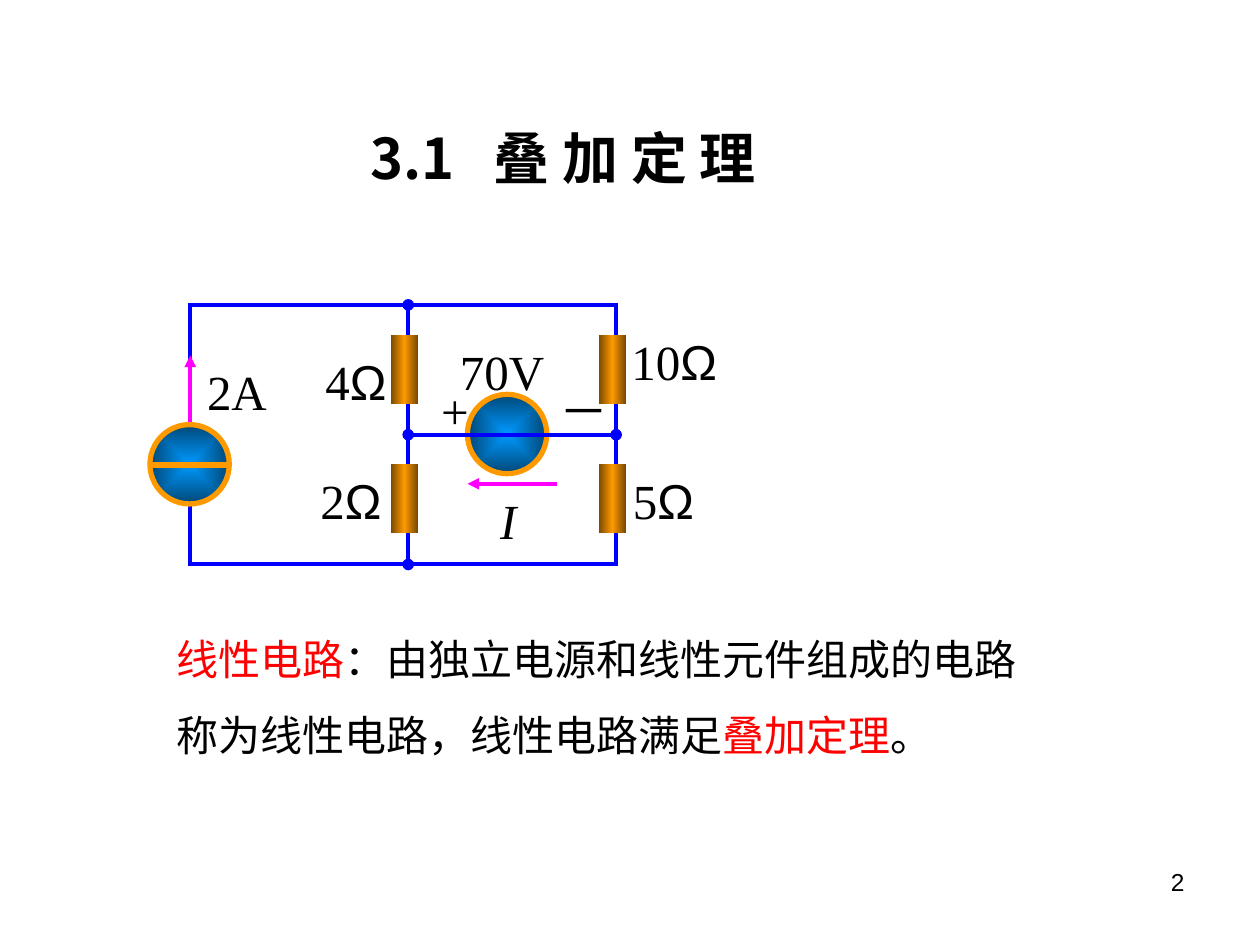
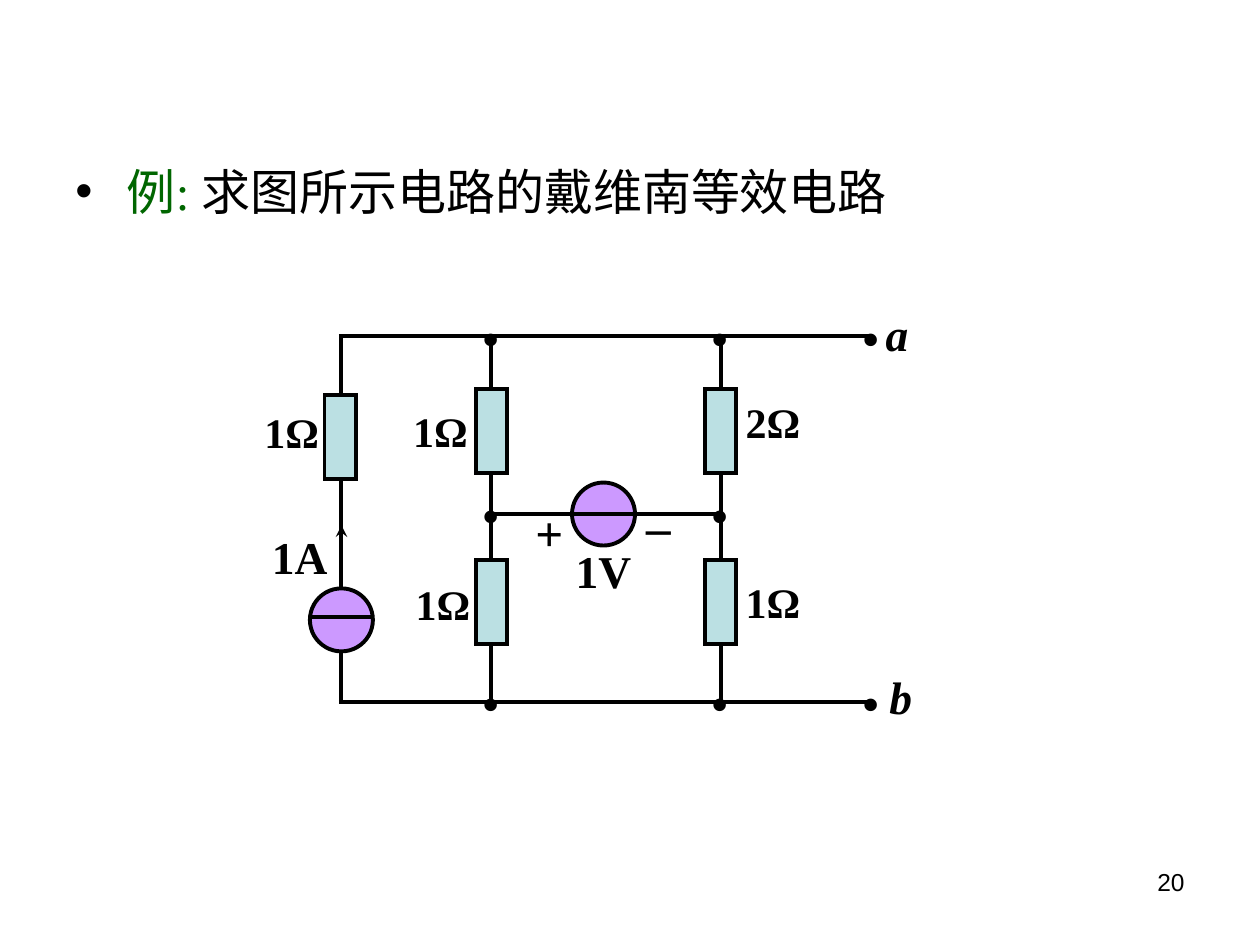
from lxml import etree
from pptx import Presentation
from pptx.dml.color import RGBColor
from pptx.enum.shapes import MSO_CONNECTOR, MSO_SHAPE
from pptx.enum.text import MSO_ANCHOR, MSO_AUTO_SIZE, PP_ALIGN
from pptx.oxml import parse_xml
from pptx.oxml.ns import nsdecls, qn
from pptx.util import Inches, Pt

RECT, OVAL = MSO_SHAPE.RECTANGLE, MSO_SHAPE.OVAL
LEFT, MID, RIGHT = PP_ALIGN.LEFT, PP_ALIGN.CENTER, PP_ALIGN.RIGHT
TOP, CENTRE = MSO_ANCHOR.TOP, MSO_ANCHOR.MIDDLE
GROW = MSO_AUTO_SIZE.SHAPE_TO_FIT_TEXT
STRAIGHT = MSO_CONNECTOR.STRAIGHT

# Shared look
BLACK = RGBColor(0, 0, 0)
BLUE = RGBColor(0, 0, 255)
PINK = RGBColor(255, 0, 255)
RED = RGBColor(255, 0, 0)
GREEN = RGBColor(0, 0x66, 0)
GOLD = RGBColor(0xFF, 0x99, 0)
MAUVE = RGBColor(0xCC, 0x99, 0xFF)
TEAL = RGBColor(0xBB, 0xE0, 0xE3)
SANS, SERIF, HAN = "Arial", "Times New Roman", "Noto Sans CJK SC"
WIRE = 2.25
BALL = [(0, "0099FF"), (100, "004776")], '<a:path path="rect"><a:fillToRect l="50000" t="50000" r="50000" b="50000"/></a:path>'
TUBE = [(0, "764700"), (50, "FF9900"), (100, "764700")], '<a:lin ang="0" scaled="1"/>'

# Slide 1 content
TITLE = "3.1\t叠 加 定 理"
LAW = [("线性电路", {"color": RED}),
       ("：由独立电源和线性元件组成的电路称为线性电路，线性电路满足", {}),
       ("叠加定理", {"color": RED}), ("。", {})]
FRAME = (1.51, 2.42, 3.38, 2.06)
STEM = 3.24
BARS = [(x, y) for x in (3.1, 4.75) for y in (2.66, 3.68)]
OHMS = [("4", 2.41, 2.74, 0.83), ("10", 4.78, 2.58, 1.14),
        ("5", 4.85, 3.68, 0.83), ("2", 2.37, 3.68, 0.83)]
MARKS = [("2A", 1.54, 2.82, 0.68), ("70V", 3.55, 2.66, 0.87),
         ("+", 3.4, 2.97, 0.42), ("－", 4.34, 2.97, 0.59),
         ("I", 3.87, 3.84, 0.33)]

# Slide 2 content
TASK = [("例: ", {"color": GREEN}), ("求图所示电路的戴维南等效电路", {})]
COLS = (2.71, 3.9, 5.72, 6.92)
ROWS = (2.67, 4.08, 5.57)
LOADS = [(2.7, 3.47)] + [(x, y) for x in COLS[1:3] for y in (3.42, 4.78)]
NODES = [(c, r) for r in (0, 2) for c in (1, 2, 3)] + [(1, 1), (2, 1)]
KINDS = {  # width, height, wrap, format
    "ohm": (0.68, 0.5, False, {"size": Pt(24)}),
    "src": (0.64, 0.54, False, {"size": Pt(26)}),
    "sign": (0.67, 0.57, True, {"size": Pt(28)}),
    "end": (0.38, 0.54, False, {"size": Pt(26), "italic": True}),
    "dot": (0.33, 0.84, True, {"size": Pt(44)}),
}
NOTES = [("ohm", "1Ω", 2, 3.18), ("ohm", "1Ω", 3.18, 3.17),
         ("ohm", "1Ω", 3.2, 4.54), ("ohm", "2Ω", 5.82, 3.1),
         ("ohm", "1Ω", 5.82, 4.53), ("src", "1A", 2.06, 4.15),
         ("src", "1V", 4.47, 4.26), ("sign", "+", 4.15, 3.94),
         ("sign", "_", 5.03, 3.76), ("end", "a", 6.93, 2.38),
         ("end", "b", 6.96, 5.26)]


def add_to(node, tag, **vals):
    return etree.SubElement(node, qn(tag), vals)


def write(slide, runs, box, align=LEFT, anchor=TOP, wrap=True, fit=True, **base):
    frame = slide.shapes.add_textbox(*map(Inches, box)).text_frame
    frame.word_wrap, frame.vertical_anchor = wrap, anchor
    if fit:
        frame.auto_size = GROW
    para = frame.paragraphs[0]
    para.alignment = align
    for text, extra in runs:
        run = para.add_run()
        run.text = text
        look = {"name": SERIF, "size": Pt(28), "color": BLACK, **base, **extra}
        run.font.color.rgb = look.pop("color")
        for key, val in look.items():
            setattr(run.font, key, val)
        add_to(run._r.get_or_add_rPr(), "a:ea", typeface=HAN)
    return para


def draw(slide, kind, box, fill=None, line=None, width=WIRE):
    shape = slide.shapes.add_shape(kind, *map(Inches, box))
    shape.shadow.inherit = False
    if fill is None:
        shape.fill.background()
    elif isinstance(fill, RGBColor):
        shape.fill.solid()
        shape.fill.fore_color.rgb = fill
    else:
        stops, way = fill
        marks = "".join(f'<a:gs pos="{p * 1000}"><a:srgbClr val="{c}"/></a:gs>'
                        for p, c in stops)
        grad = parse_xml(f'<a:gradFill {nsdecls("a")} rotWithShape="1">'
                         f'<a:gsLst>{marks}</a:gsLst>{way}</a:gradFill>')
        shape._element.spPr.find(qn("a:prstGeom")).addnext(grad)
    if line is None:
        shape.line.fill.background()
    else:
        shape.line.color.rgb = line
        shape.line.width = Pt(width)
        add_to(shape.line._get_or_add_ln(), "a:miter", lim="800000")
    return shape


def wire(slide, x1, y1, x2, y2, color=BLACK, head=None, tail=None, width=WIRE):
    link = slide.shapes.add_connector(STRAIGHT, *map(Inches, (x1, y1, x2, y2)))
    link.line.color.rgb = color
    link.line.width = Pt(width)
    for tag, end in (("a:headEnd", head), ("a:tailEnd", tail)):
        if end:
            add_to(link.line._get_or_add_ln(), tag, type=end)
    add_to(link._element.spPr, "a:effectLst")
    return link


def start(deck, number):
    slide = deck.slides.add_slide(deck.slide_layouts[6])
    write(slide, [(number, {})], (7.17, 6.83, 2.33, 0.52), RIGHT,
          fit=False, name=SANS, size=Pt(14))
    return slide


def law(deck):
    slide = start(deck, "2")
    para = write(slide, [(TITLE, {})], (2.84, 0.93, 3.97, 0.64),
                 name=HAN, size=Pt(32), bold=True)
    tabs = add_to(para._p.get_or_add_pPr(), "a:tabLst")
    add_to(tabs, "a:tab", pos=str(Inches(0.98)), algn="l")

    # Circuit, back to front
    left, top, wide, high = FRAME
    mid = top + high / 2
    draw(slide, OVAL, (3.71, 3.13, 0.63, 0.63), BALL, GOLD, 3)
    loop = draw(slide, RECT, FRAME, line=BLUE)
    wire(slide, STEM, top, STEM, top + high, BLUE, "oval", "oval")
    bridge = wire(slide, STEM, mid, left + wide, mid, BLUE, "oval", "oval")
    bridge.end_connect(loop, 3)
    wire(slide, 3.71, 3.84, 4.42, 3.84, PINK, head="triangle")
    for num, x, y, w in OHMS:
        write(slide, [(num, {}), ("Ω", {"name": SANS})], (x, y, w, 0.57), MID, CENTRE)
    for text, x, y, w in MARKS:
        write(slide, [(text, {"italic": text == "I"})], (x, y, w, 0.57),
              MID, CENTRE, wrap=False)
    wire(slide, left, 3.38, left, 2.82, PINK, tail="triangle")
    for x, y in BARS:
        draw(slide, RECT, (x, y, 0.22, 0.55), TUBE)
    draw(slide, OVAL, (1.19, 3.37, 0.63, 0.63), BALL, GOLD, 3)
    wire(slide, 1.19, 3.69, 1.82, 3.69, GOLD, width=3)

    para = write(slide, LAW, (1.3, 4.78, 7.09, 1.3), size=Pt(24))
    para.line_spacing = 1.5


def task(deck):
    slide = start(deck, "20")
    para = write(slide, TASK, (0.5, 1.09, 7.1, 0.71))
    para.line_spacing = 1.3
    props = para._p.get_or_add_pPr()
    props.set("marL", str(Inches(0.41)))
    props.set("indent", str(-Inches(0.41)))
    add_to(add_to(props, "a:buClr"), "a:srgbClr", val=str(BLACK))
    add_to(props, "a:buFont", typeface=SANS)
    add_to(props, "a:buChar", char="•")

    # Wires and parts
    draw(slide, OVAL, (4.54, 3.83, 0.5, 0.5), MAUVE, BLACK)
    for y in (ROWS[0], ROWS[2]):
        wire(slide, COLS[0] - 0.02, y, COLS[3], y)
    for x in COLS[:3]:
        wire(slide, x, ROWS[0], x, ROWS[2])
    wire(slide, COLS[1], ROWS[1], COLS[2], ROWS[1])
    for x, y in LOADS:
        draw(slide, RECT, (x - 0.125, y - 0.335, 0.25, 0.67), TEAL, BLACK)
    draw(slide, OVAL, (2.46, 4.67, 0.5, 0.5), MAUVE, BLACK)
    wire(slide, 2.46, 4.9, 2.96, 4.9)
    wire(slide, COLS[0], 4.67, COLS[0], 4.17, tail="stealth")

    # Nodes and labels
    dots = [("dot", ".", COLS[c] - 0.18, ROWS[r] - 0.59) for c, r in NODES]
    for kind, text, x, y in dots + NOTES:
        w, h, wrap, look = KINDS[kind]
        write(slide, [(text, look)], (x, y, w, h), wrap=wrap, bold=True)


def main():
    deck = Presentation()
    deck.slide_width, deck.slide_height = Inches(10), Inches(7.5)
    law(deck)
    task(deck)
    deck.save("out.pptx")


if __name__ == "__main__":
    main()
